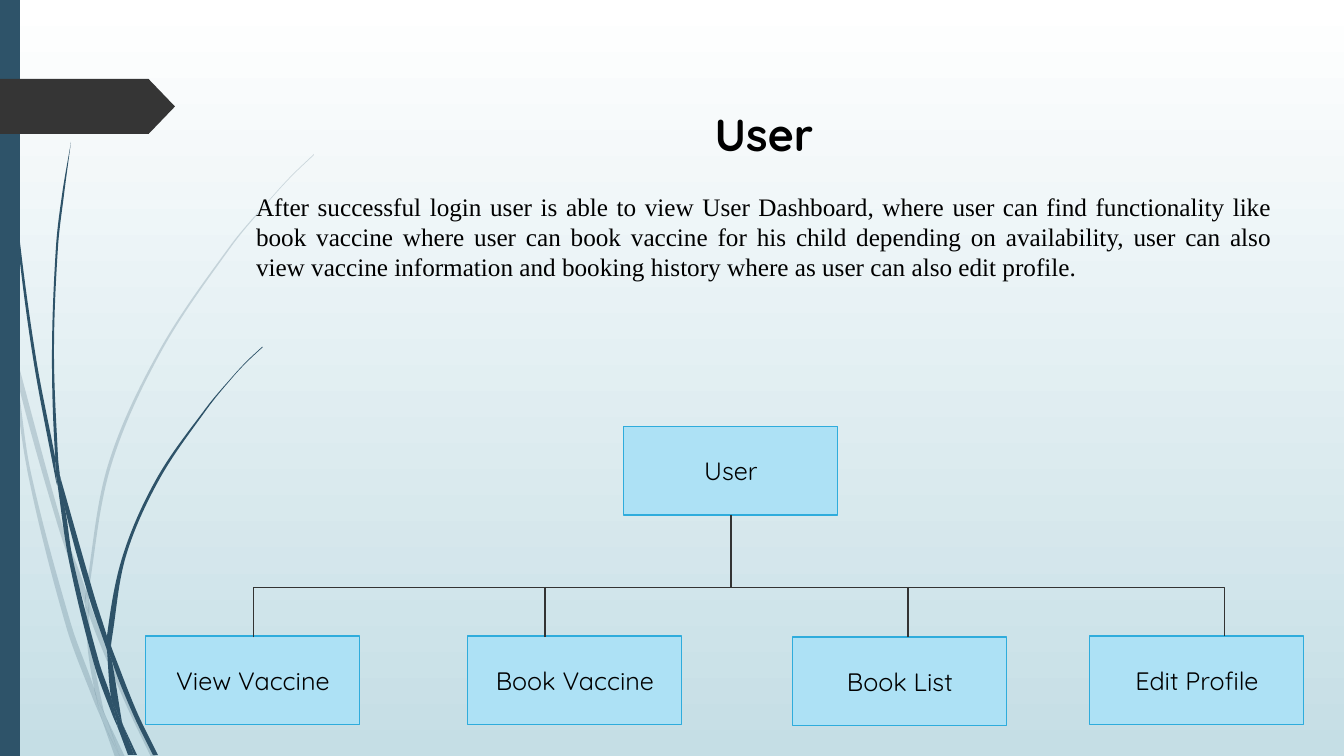
from math import hypot
from lxml.etree import SubElement
from pptx import Presentation
from pptx.dml.color import RGBColor
from pptx.enum.shapes import MSO_CONNECTOR as CONN, MSO_SHAPE as SHAPE
from pptx.enum.text import MSO_ANCHOR as ANCHOR, MSO_AUTO_SIZE as AUTO, PP_ALIGN as ALIGN
from pptx.oxml.ns import qn
from pptx.util import Emu, Pt

WIDTH, HEIGHT = 1344, 756
SCALE = 12192000 / WIDTH
NAVY, CHARCOAL, LINE, BOX, BORDER = "2E5369", "353535", "333333", "ADE1F5", "2FACDC"

# Outlines of the grass blades, piece by piece
PALE_GRASS = [
    [(11, 353), (9, 325), (0, 284), (0, 301), (10, 347)],
    [(58, 526), (85, 604), (86, 591), (62, 524), (14, 348), (17, 379)],
    [(93, 612), (89, 601), (89, 615), (124, 700), (151, 757), (156, 757), (128, 698)],
    [(120, 757), (125, 757), (106, 717)],
    [(94, 688), (71, 624), (31, 473), (17, 379), (11, 353), (28, 474), (66, 626),
     (93, 699), (102, 720), (100, 713)],
    [(85, 604), (88, 651), (94, 688), (97, 698), (106, 717), (104, 712), (92, 651),
     (89, 615), (89, 613)],
    [(89, 589), (111, 466), (161, 352), (231, 247), (270, 200), (292, 176), (314, 155),
     (314, 154), (291, 176), (270, 199), (230, 246), (159, 351), (108, 465), (86, 589),
     (86, 591), (89, 601)],
    [(102, 720), (115, 757), (120, 757)],
    [(89, 613), (89, 615), (89, 601), (86, 591), (85, 604)],
    [(97, 698), (94, 688), (100, 713), (102, 720), (120, 757), (106, 717)],
]
DARK_GRASS = [
    [(7, 111), (17, 235), (33, 358), (56, 481), (57, 485), (55, 461), (55, 457),
     (36, 358), (19, 234), (8, 110), (5, 48), (4, 0), (3, 0), (4, 48)],
    [(89, 597), (107, 650), (107, 638), (107, 636), (94, 595), (60, 476), (65, 509)],
    [(114, 654), (111, 646), (112, 661), (133, 714), (153, 755), (158, 755), (137, 712)],
    [(111, 697), (99, 662), (73, 560), (65, 509), (57, 481), (69, 561), (94, 664),
     (112, 714), (118, 728), (117, 723)],
    [(60, 476), (58, 457), (54, 352), (58, 247), (64, 195), (71, 142), (62, 195),
     (56, 247), (52, 352), (55, 453)],
    [(134, 755), (137, 755), (123, 725)],
    [(57, 481), (65, 509), (60, 476), (55, 453), (55, 457)],
    [(112, 638), (126, 556), (159, 480), (207, 409), (233, 377), (247, 362), (263, 347),
     (262, 347), (247, 361), (233, 376), (206, 408), (157, 478), (123, 555), (107, 636),
     (111, 646)],
    [(118, 728), (128, 755), (132, 755)],
    [(107, 650), (111, 697), (117, 712), (123, 725), (122, 722), (112, 661), (110, 656)],
    [(107, 650), (110, 656), (112, 661), (111, 646), (107, 636), (107, 638)],
    [(117, 712), (111, 697), (117, 723), (118, 728), (131, 755), (134, 755), (123, 725)],
]

# Label, left and top of the box
CHILDREN = [
    ("View Vaccine", 146, 636),
    ("Book Vaccine", 468, 636),
    ("Book List", 793, 637),
    ("Edit Profile", 1090, 636),
]
BOX_W, BOX_H = 214, 89
ROOT_X, ROOT_Y, BUS_Y, DROP_Y = 624, 426, 587, 637
OUTER_DROPS, INNER_DROPS = (254, 1225), (545, 908)

INTRO = ("After successful login user is able to view User Dashboard, where user can "
         "find functionality like book vaccine where user can book vaccine for his child "
         "depending on availability, user can also view vaccine information and booking "
         "history where as user can also edit profile.")


def px(n):
    return Emu(round(n * SCALE))


def rgb(value):
    return RGBColor.from_string(value)


def write(tf, text, size=18, font="Quicksand", color="000000", bold=False,
          align=ALIGN.CENTER, anchor=ANCHOR.MIDDLE):
    tf.word_wrap = True
    tf.auto_size = AUTO.NONE
    tf.vertical_anchor = anchor
    tf.margin_left = tf.margin_right = px(10)
    tf.margin_top = tf.margin_bottom = px(5)
    p = tf.paragraphs[0]
    p.alignment = align
    p.space_before = Pt(0)
    r = p.add_run()
    r.text = text
    r.font.size, r.font.name, r.font.bold = Pt(size), font, bold
    r.font.color.rgb = rgb(color)
    return p


def unit(a, b):
    dx, dy = b[0] - a[0], b[1] - a[1]
    d = hypot(dx, dy)
    return (dx / d, dy / d) if d else (0, 0)


def curve_controls(knots):
    """Return two Bezier control points per side, leaving sharp corners sharp."""
    n = len(knots)
    ahead = [unit(knots[i], knots[(i + 1) % n]) for i in range(n)]

    def tangent(i, side):
        u, v = ahead[i - 1], ahead[i % n]
        if u[0] * v[0] + u[1] * v[1] < 0.8:
            return side
        return unit(knots[i - 1], knots[(i + 1) % n]) if i < n else tangent(0, side)

    controls = []
    for i, a in enumerate(knots):
        j = (i + 1) % n
        b = knots[j]
        reach = hypot(b[0] - a[0], b[1] - a[1]) / 3
        (ux, uy), (vx, vy) = tangent(i, ahead[i]), tangent(j, ahead[i])
        controls.append(((a[0] + ux * reach, a[1] + uy * reach),
                         (b[0] - vx * reach, b[1] - vy * reach)))
    return controls


class Deck:
    def __init__(self):
        self.prs = Presentation()
        self.prs.slide_width, self.prs.slide_height = px(WIDTH), px(HEIGHT)
        self.s = self.prs.slides.add_slide(self.prs.slide_layouts[1])

    def background(self, top, bottom):
        fill = self.s.background.fill
        fill.gradient()
        fill.gradient_angle = 270
        for stop, color, position in zip(fill.gradient_stops, (top, bottom), (0, 1)):
            stop.color.rgb = rgb(color)
            stop.position = position

    def paint(self, sp, fill, line=None):
        sp.shadow.inherit = False
        sp.fill.solid()
        sp.fill.fore_color.rgb = rgb(fill)
        if line:
            sp.line.color.rgb = rgb(line)
            sp.line.width = Pt(0.75)
        else:
            sp.line.fill.background()

    def shape(self, kind, x, y, w, h, fill, line=None):
        sp = self.s.shapes.add_shape(kind, px(x), px(y), px(w), px(h))
        self.paint(sp, fill, line)
        return sp

    def box(self, text, x, y):
        sp = self.shape(SHAPE.RECTANGLE, x, y, BOX_W, BOX_H, BOX, BORDER)
        write(sp.text_frame, text)

    def blade(self, knots, alpha=100):
        outline = [(px(x), px(y)) for x, y in knots]
        builder = self.s.shapes.build_freeform(*outline[0], scale=1.0)
        builder.add_line_segments(outline[1:] + outline[:1], close=True)
        sp = builder.convert_to_shape()
        self.paint(sp, NAVY)
        sides = list(sp.element.iter(qn("a:lnTo")))
        for side, controls in zip(sides, curve_controls(outline)):
            side.tag = qn("a:cubicBezTo")
            for i, (x, y) in enumerate(controls):
                pt = SubElement(side, qn("a:pt"), x=str(round(x - sp.left)),
                                y=str(round(y - sp.top)))
                side.insert(i, pt)
        if alpha < 100:
            color = sp.element.spPr.find(qn("a:solidFill"))[0]
            SubElement(color, qn("a:alpha"), val=str(alpha * 1000))

    def line(self, x1, y1, x2, y2, kind=CONN.STRAIGHT):
        c = self.s.shapes.add_connector(kind, px(x1), px(y1), px(x2), px(y2))
        c.line.color.rgb = rgb(LINE)
        c.line.width = Pt(0.75)
        SubElement(c.element.spPr, qn("a:effectLst"))
        return c

    def bracket(self, left, right, top, bottom):
        """Join two feet by an elbow connector turned a quarter, one px deep."""
        x, half = (left + right) // 2, (right - left) / 2
        c = self.line(x + 1, bottom + half, x, bottom - half, CONN.ELBOW)
        c.element.spPr.find(qn("a:xfrm")).set("rot", "5400000")
        geom = c.element.spPr.find(qn("a:prstGeom"))
        guides = geom.find(qn("a:avLst"))
        if guides is None:
            guides = SubElement(geom, qn("a:avLst"))
        SubElement(guides, qn("a:gd"), name="adj1", fmla=f"val {(bottom - top) * 100000}")

    def placeholder(self, index, x, y, w, h, text, **style):
        """Fill a layout placeholder and bring it to the front."""
        sp = self.s.placeholders[index]
        sp.left, sp.top, sp.width, sp.height = px(x), px(y), px(w), px(h)
        p = write(sp.text_frame, text, anchor=ANCHOR.TOP, **style)
        pPr = p._p.get_or_add_pPr()
        pPr.set("marL", "0")
        pPr.set("indent", "0")
        SubElement(pPr, qn("a:buNone"))
        sp.element.getparent().append(sp.element)


def main():
    deck = Deck()
    deck.background("FFFFFF", "C5DEE5")
    for knots in PALE_GRASS:
        deck.blade(knots, alpha=20)
    for knots in DARK_GRASS:
        deck.blade(knots)
    deck.shape(SHAPE.RECTANGLE, 0, 0, 20, HEIGHT, NAVY)
    tag = deck.shape(SHAPE.PENTAGON, 0, 79, 175, 55, CHARCOAL)
    tag.adjustments[0] = 0.48

    deck.box("User", ROOT_X, ROOT_Y)
    for child in CHILDREN:
        deck.box(*child)
    deck.bracket(*OUTER_DROPS, BUS_Y, DROP_Y)
    root_center = ROOT_X + BOX_W // 2
    deck.line(root_center, ROOT_Y + BOX_H, root_center, BUS_Y)
    for x in INNER_DROPS:
        deck.line(x, BUS_Y, x, DROP_Y)

    deck.placeholder(0, 246, 102, 1036, 66, "User", size=32, bold=True)
    deck.placeholder(1, 246, 186, 1036, 102, INTRO, font="Times New Roman",
                     align=ALIGN.JUSTIFY)
    deck.prs.save("out.pptx")


if __name__ == "__main__":
    main()
